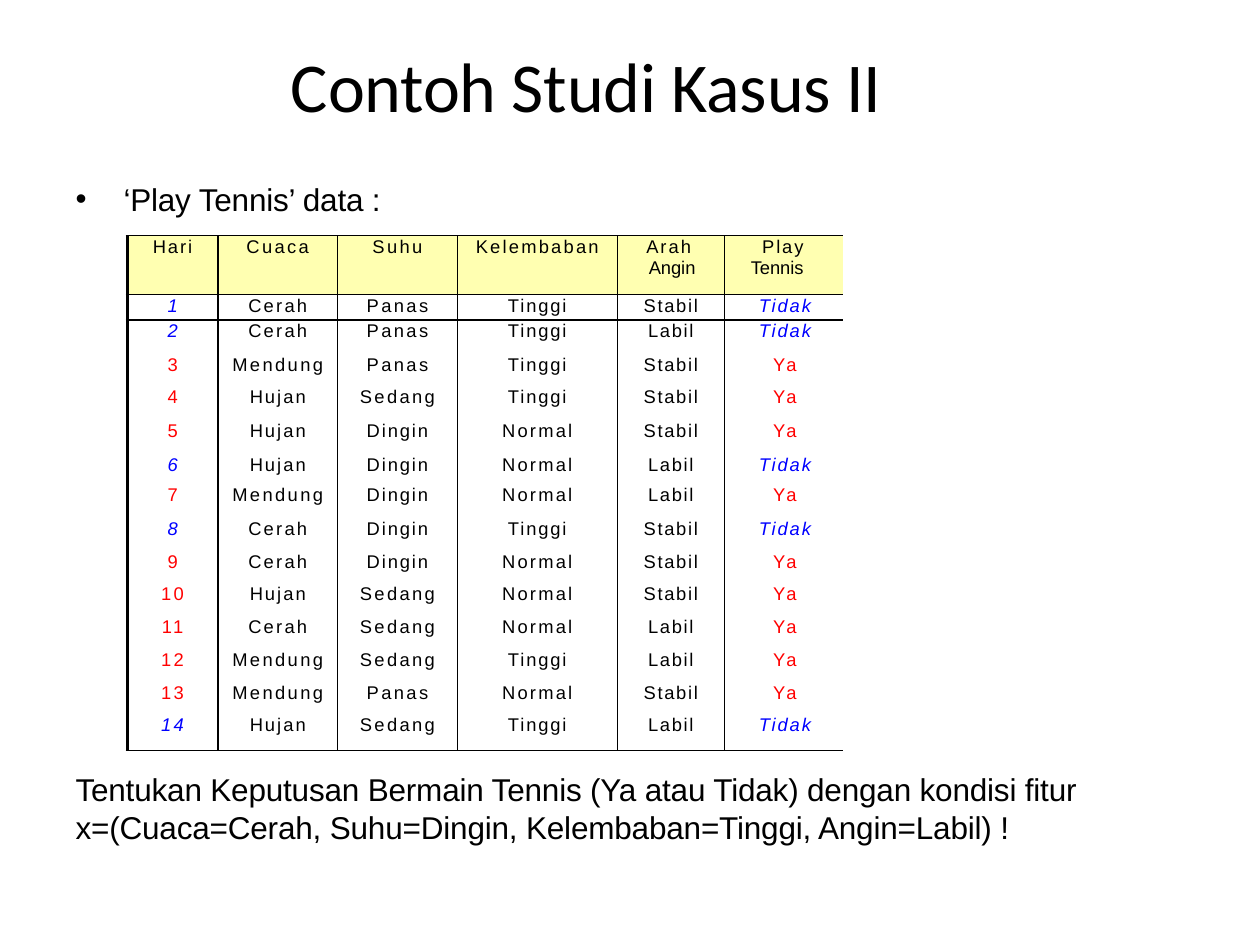
from lxml.etree import SubElement
from pptx import Presentation
from pptx.dml.color import RGBColor
from pptx.enum.text import MSO_ANCHOR, PP_ALIGN
from pptx.oxml.ns import qn
from pptx.util import Inches, Pt

BLACK = RGBColor(0, 0, 0)
BLUE = RGBColor(0, 0, 255)
RED = RGBColor(255, 0, 0)
HEADER_YELLOW = RGBColor(0xFF, 0xFF, 0xB1)

HEADERS = ["Hari", "Cuaca", "Suhu", "Kelembaban", "Arah\vAngin", "Play\vTennis"]
OBSERVATIONS = [line.split() for line in """\
Cerah Panas Tinggi Stabil Tidak
Cerah Panas Tinggi Labil Tidak
Mendung Panas Tinggi Stabil Ya
Hujan Sedang Tinggi Stabil Ya
Hujan Dingin Normal Stabil Ya
Hujan Dingin Normal Labil Tidak
Mendung Dingin Normal Labil Ya
Cerah Dingin Tinggi Stabil Tidak
Cerah Dingin Normal Stabil Ya
Hujan Sedang Normal Stabil Ya
Cerah Sedang Normal Labil Ya
Mendung Sedang Tinggi Labil Ya
Mendung Panas Normal Stabil Ya
Hujan Sedang Tinggi Labil Tidak""".splitlines()]

COLUMN_WIDTHS = [0.72, 0.95, 0.95, 1.27, 0.85, 0.94]
ROW_HEIGHTS = [0.47, 0.2, 0.24, 0.26, 0.26, 0.27, 0.25, 0.26, 0.27] + [0.26] * 5 + [0.31]
TOP_MARGINS = [0, 0, 0.01, 0.04, 0.03, 0.04, 0.04, 0.03, 0.04] + [0.03] * 6

# Letter spacing in points for each word
TRACKING = {
    "Hari": 1.1, "Arah": 1.2, "Play": 1.1, "Angin": 0, "Tennis": 0,
    "Kelembaban": 1.3, "Cerah": 1.3, "Normal": 1.3, "Hujan": 1.2,
    "Tinggi": 1.1, "Dingin": 1.1, "Tidak": 1.1, "Stabil": 1, "Labil": 1,
    **{str(day): 0 for day in range(2, 10)}, "1": 1.1,
}
DEFAULT_TRACKING = 1.4


def format_run(run, size, font_name="Arial", color=BLACK, italic=False, tracking=0):
    font = run.font
    font.size, font.name, font.italic = Pt(size), font_name, italic
    font.color.rgb = color
    run._r.get_or_add_rPr().set("spc", str(round(tracking * 100)))


def set_indent(paragraph, left, first_line=0):
    properties = paragraph._p.get_or_add_pPr()
    properties.set("marL", str(Inches(left)))
    properties.set("indent", str(Inches(first_line)))
    return properties


def add_text(slide, text, left, top, width, height, size, font_name="Arial", bullet=False):
    frame = slide.shapes.add_textbox(
        Inches(left), Inches(top), Inches(width), Inches(height)).text_frame
    frame.word_wrap = True
    frame.margin_left = frame.margin_right = frame.margin_bottom = 0
    frame.margin_top = Inches(0.01)
    frame.text = text
    paragraph = frame.paragraphs[0]
    if bullet:
        properties = set_indent(paragraph, 0.39, -0.38)
        SubElement(properties, qn("a:buFont"), typeface="Arial")
        SubElement(properties, qn("a:buChar"), char="•")
    else:
        set_indent(paragraph, 0.01)
    for run in paragraph.runs:
        format_run(run, size, font_name, tracking=-0.1)
    return frame


def set_borders(cell, widths):
    """Draw the left, right, top and bottom edges; a width of 0 hides an edge."""
    properties = cell._tc.get_or_add_tcPr()
    for position, (side, width) in enumerate(zip("LRTB", widths)):
        line = SubElement(properties, qn(f"a:ln{side}"), w=str(Pt(width)))
        if width:
            fill = SubElement(line, qn("a:solidFill"))
            SubElement(fill, qn("a:srgbClr"), val=str(BLACK))
        else:
            SubElement(line, qn("a:noFill"))
        properties.insert(position, line)


def fill_cell(cell, text, row, column, color, italic):
    cell.margin_left = cell.margin_right = cell.margin_bottom = 0
    cell.margin_top = Inches(TOP_MARGINS[row])
    cell.text_frame.text = text
    paragraph = cell.text_frame.paragraphs[0]
    paragraph.alignment = PP_ALIGN.CENTER
    if row < 2:
        paragraph.line_spacing = Pt(12.2)
    if row == 0 and column >= 4:
        paragraph.alignment = PP_ALIGN.LEFT
        set_indent(paragraph, *((0.25, -0.02) if column == 4 else (0.21, 0.09)))
    elif column == 5:
        set_indent(paragraph, 0.02)
    for run in paragraph.runs:
        tracking = TRACKING.get(run.text, DEFAULT_TRACKING)
        format_run(run, 10.5, color=color, italic=italic, tracking=tracking)


def add_tennis_table(slide):
    rows = [HEADERS] + [[str(day), *values] for day, values in enumerate(OBSERVATIONS, 1)]
    last_row, last_column = len(rows) - 1, len(HEADERS) - 1
    table = slide.shapes.add_table(
        len(rows), len(HEADERS), Inches(1.01), Inches(1.87),
        Inches(sum(COLUMN_WIDTHS)), Inches(sum(ROW_HEIGHTS))).table
    table.first_row = table.horz_banding = False
    for column, width in zip(table.columns, COLUMN_WIDTHS):
        column.width = Inches(width)
    for table_row, height in zip(table.rows, ROW_HEIGHTS):
        table_row.height = Inches(height)

    for r, values in enumerate(rows):
        outcome_color = BLUE if values[-1] == "Tidak" else RED
        for c, text in enumerate(values):
            cell = table.cell(r, c)
            is_outcome = r > 0 and c in (0, last_column)
            color = outcome_color if is_outcome else BLACK
            fill_cell(cell, text, r, c, color, color == BLUE)
            if r == 0:
                cell.fill.solid()
                cell.fill.fore_color.rgb = HEADER_YELLOW
            else:
                cell.fill.background()
            set_borders(cell, (
                2.25 if c == 0 else 1,
                0 if c == last_column else 1,
                0.75 if r <= 2 else 0,
                0.75 if r in (0, 1, last_row) else 0,
            ))


def main():
    presentation = Presentation()
    presentation.slide_width, presentation.slide_height = Inches(10), Inches(7.5)
    slide = presentation.slides.add_slide(presentation.slide_layouts[6])

    # Title and introduction
    title = add_text(slide, "Contoh Studi Kasus II", 2.3, 0.32, 5.4, 0.69, 40, "Calibri")
    title.vertical_anchor = MSO_ANCHOR.MIDDLE
    add_text(slide, "‘Play Tennis’ data :", 0.59, 1.42, 2.51, 0.33, 18, bullet=True)

    # Question below the data
    add_text(slide, "Tentukan Keputusan Bermain Tennis (Ya atau Tidak) dengan kondisi fitur "
             "x=(Cuaca=Cerah, Suhu=Dingin, Kelembaban=Tinggi, Angin=Labil) !",
             0.59, 6.1, 8.17, 0.63, 18)

    # Observations
    add_tennis_table(slide)
    presentation.save("out.pptx")


if __name__ == "__main__":
    main()
